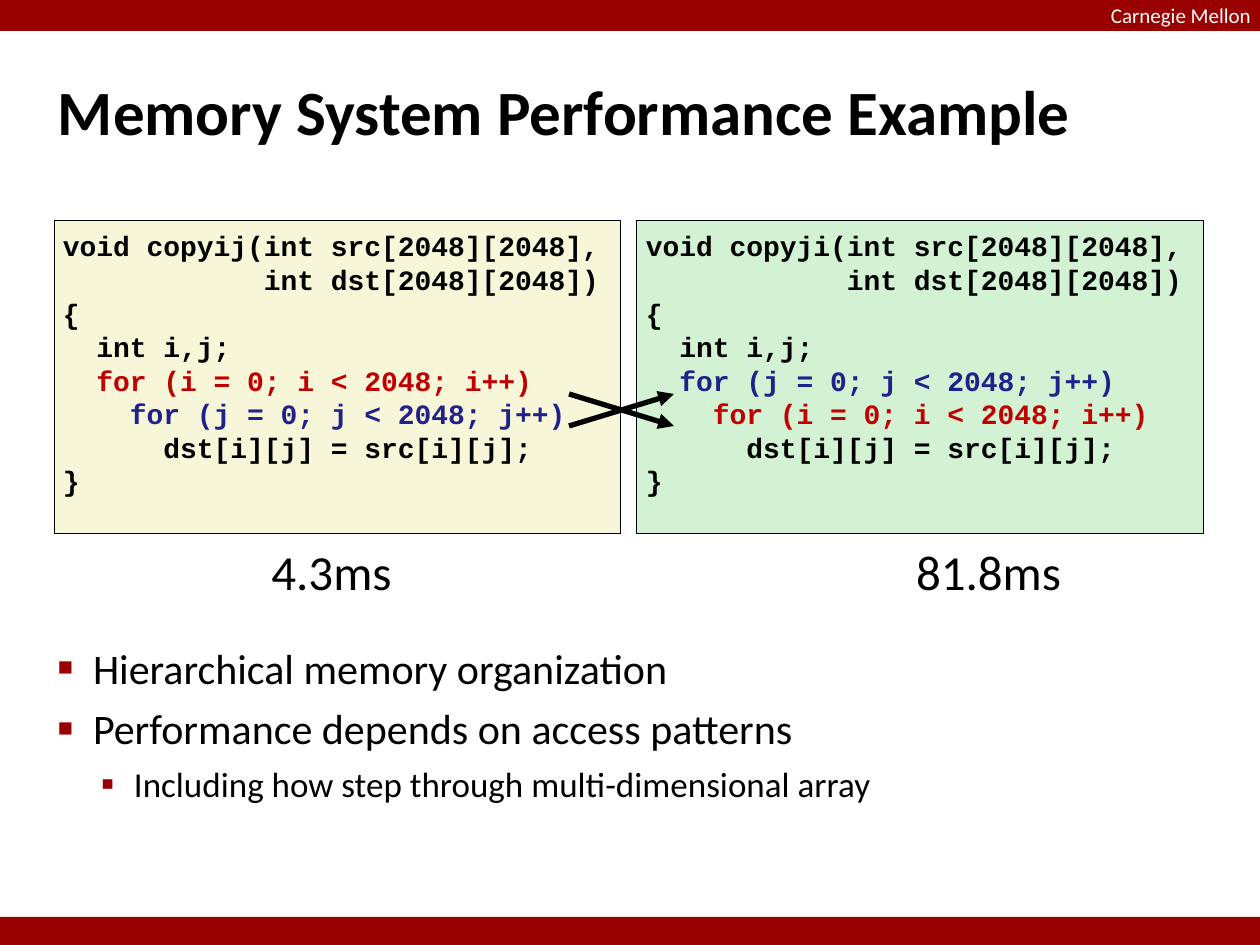
from dataclasses import dataclass

from lxml.etree import SubElement
from pptx import Presentation
from pptx.dml.color import RGBColor
from pptx.enum.shapes import MSO_CONNECTOR, MSO_SHAPE
from pptx.enum.text import MSO_ANCHOR, MSO_AUTO_SIZE, PP_ALIGN
from pptx.oxml.ns import qn
from pptx.util import Emu, Pt

PIXELS_PER_INCH = 126
RED = "990000"
BLACK = "000000"
WHITE = "FFFFFF"
LOOP_COLOURS = {"for (i": "C00000", "for (j": "21218A"}


@dataclass(frozen=True)
class Area:
    left: int
    top: int
    width: int
    height: int


@dataclass(frozen=True)
class CodePanel:
    name: str
    loops: tuple[str, str]
    left: int
    fill: str


@dataclass(frozen=True)
class Label:
    text: str
    area: Area
    size: int
    colour: str = BLACK
    align: PP_ALIGN = PP_ALIGN.CENTER
    inset: int = 5


@dataclass(frozen=True)
class Bullet:
    text: str
    level: int
    size: int
    space: int
    margin: int
    hanging: int
    symbol: str
    percent: int


BARS = [Area(0, 0, 1260, 31), Area(0, 917, 1260, 28)]
PANELS = [
    CodePanel("copyij", ("i", "j"), 54, "F8F6D9"),
    CodePanel("copyji", ("j", "i"), 637, "D3F2D3"),
]
LABELS = [
    Label("Carnegie Mellon", Area(1111, 3, 140, 24), 12, WHITE, PP_ALIGN.LEFT, 0),
    Label("4.3ms", Area(258, 536, 147, 71), 28),
    Label("81.8ms", Area(910, 536, 157, 71), 28),
]
BULLETS = [
    Bullet("Hierarchical memory organization", 0, 24, 0, 35, 35, "■", 60),
    Bullet("Performance depends on access patterns", 0, 24, 6, 35, 35, "■", 60),
    Bullet("Including how step through multi-dimensional array", 1, 20, 5, 76, 33, "▪", 110),
]


def px(length: int) -> Emu:
    return Emu(round(length * 914400 / PIXELS_PER_INCH))


def colour_of(value: str) -> RGBColor:
    return RGBColor.from_string(value)


def place(shape, area: Area) -> None:
    shape.left, shape.top = px(area.left), px(area.top)
    shape.width, shape.height = px(area.width), px(area.height)


def set_frame(frame, inset: int, wrap: bool = True, anchor=MSO_ANCHOR.TOP) -> None:
    frame.auto_size = MSO_AUTO_SIZE.NONE
    frame.word_wrap = wrap
    frame.vertical_anchor = anchor
    frame.margin_left = frame.margin_right = px(inset)
    frame.margin_top = frame.margin_bottom = px(inset)


def write(para, text: str, *, size: int, font: str = "Calibri", colour: str = BLACK,
          bold: bool = False, align: PP_ALIGN = PP_ALIGN.LEFT, space: int = 0) -> None:
    para.alignment = align
    para.space_before = Pt(space)
    para.line_spacing = 1.0
    span = para.add_run()
    span.text = text
    span.font.name = font
    span.font.size = Pt(size)
    span.font.bold = bold
    span.font.color.rgb = colour_of(colour)


def next_paragraph(frame, index: int):
    return frame.paragraphs[0] if index == 0 else frame.add_paragraph()


def draw_rectangle(page, area: Area, fill: str, outline: str | None = None):
    box = page.shapes.add_shape(MSO_SHAPE.RECTANGLE, 0, 0, 0, 0)
    place(box, area)
    box.shadow.inherit = False
    box.fill.solid()
    box.fill.fore_color.rgb = colour_of(fill)
    if outline:
        box.line.color.rgb = colour_of(outline)
        box.line.width = Pt(0.5)
    else:
        box.line.fill.background()
    return box


def draw_code(page, panel: CodePanel) -> None:
    box = draw_rectangle(page, Area(panel.left, 220, 567, 314), panel.fill, BLACK)
    set_frame(box.text_frame, 9)
    outer, inner = (f"for ({name} = 0; {name} < 2048; {name}++)" for name in panel.loops)
    lines = [
        f"void {panel.name}(int src[2048][2048],",
        "            int dst[2048][2048])",
        "{",
        "  int i,j;",
        f"  {outer}",
        f"    {inner}",
        "      dst[i][j] = src[i][j];",
        "}",
    ]
    for index, line in enumerate(lines):
        colour = LOOP_COLOURS.get(line.strip()[:6], BLACK)
        write(next_paragraph(box.text_frame, index), line, size=16,
              font="Courier New", colour=colour, bold=True)


def draw_arrow(page, start: int, end: int) -> None:
    arrow = page.shapes.add_connector(
        MSO_CONNECTOR.STRAIGHT, px(569), px(start), px(674), px(end))
    arrow.line.color.rgb = colour_of(BLACK)
    arrow.line.width = Pt(3)
    SubElement(arrow.line._get_or_add_ln(), qn("a:tailEnd"), type="triangle")
    SubElement(arrow._element.spPr, qn("a:effectLst"))


def draw_label(page, label: Label) -> None:
    box = page.shapes.add_textbox(0, 0, 0, 0)
    place(box, label.area)
    set_frame(box.text_frame, label.inset, wrap=False)
    write(box.text_frame.paragraphs[0], label.text, size=label.size,
          colour=label.colour, align=label.align)


def fill_title(title) -> None:
    place(title, Area(53, 35, 1155, 150))
    set_frame(title.text_frame, 5, anchor=MSO_ANCHOR.MIDDLE)
    write(title.text_frame.paragraphs[0], "Memory System Performance Example",
          size=36, bold=True)


def fill_body(body) -> None:
    place(body, Area(53, 637, 1155, 304))
    set_frame(body.text_frame, 5)
    for index, bullet in enumerate(BULLETS):
        para = next_paragraph(body.text_frame, index)
        para.level = bullet.level
        properties = para._p.get_or_add_pPr()
        properties.set("marL", str(px(bullet.margin)))
        properties.set("indent", str(-px(bullet.hanging)))
        tint = SubElement(properties, qn("a:buClr"))
        SubElement(tint, qn("a:srgbClr"), val=RED)
        SubElement(properties, qn("a:buSzPct"), val=str(bullet.percent * 1000))
        SubElement(properties, qn("a:buChar"), char=bullet.symbol)
        write(para, bullet.text, size=bullet.size, space=bullet.space)


def main() -> None:
    deck = Presentation()
    deck.slide_width, deck.slide_height = px(1260), px(945)
    page = deck.slides.add_slide(deck.slide_layouts[1])
    fill_title(page.shapes.title)
    fill_body(page.placeholders[1])
    for bar in BARS:
        draw_rectangle(page, bar, RED)
    for panel in PANELS:
        draw_code(page, panel)
    for start, end in ((394, 426), (426, 394)):
        draw_arrow(page, start, end)
    for label in LABELS:
        draw_label(page, label)
    deck.save("out.pptx")


if __name__ == "__main__":
    main()
